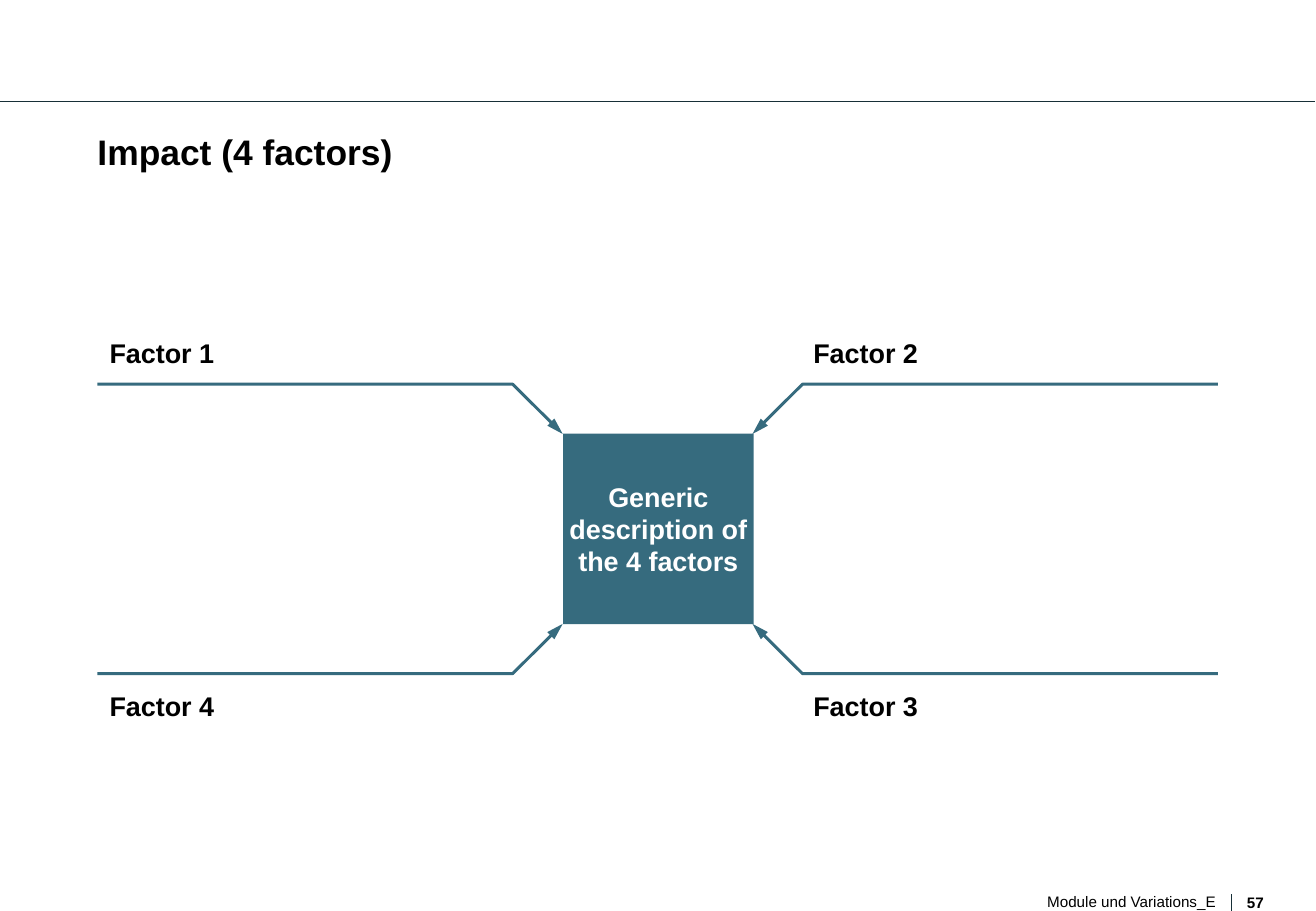
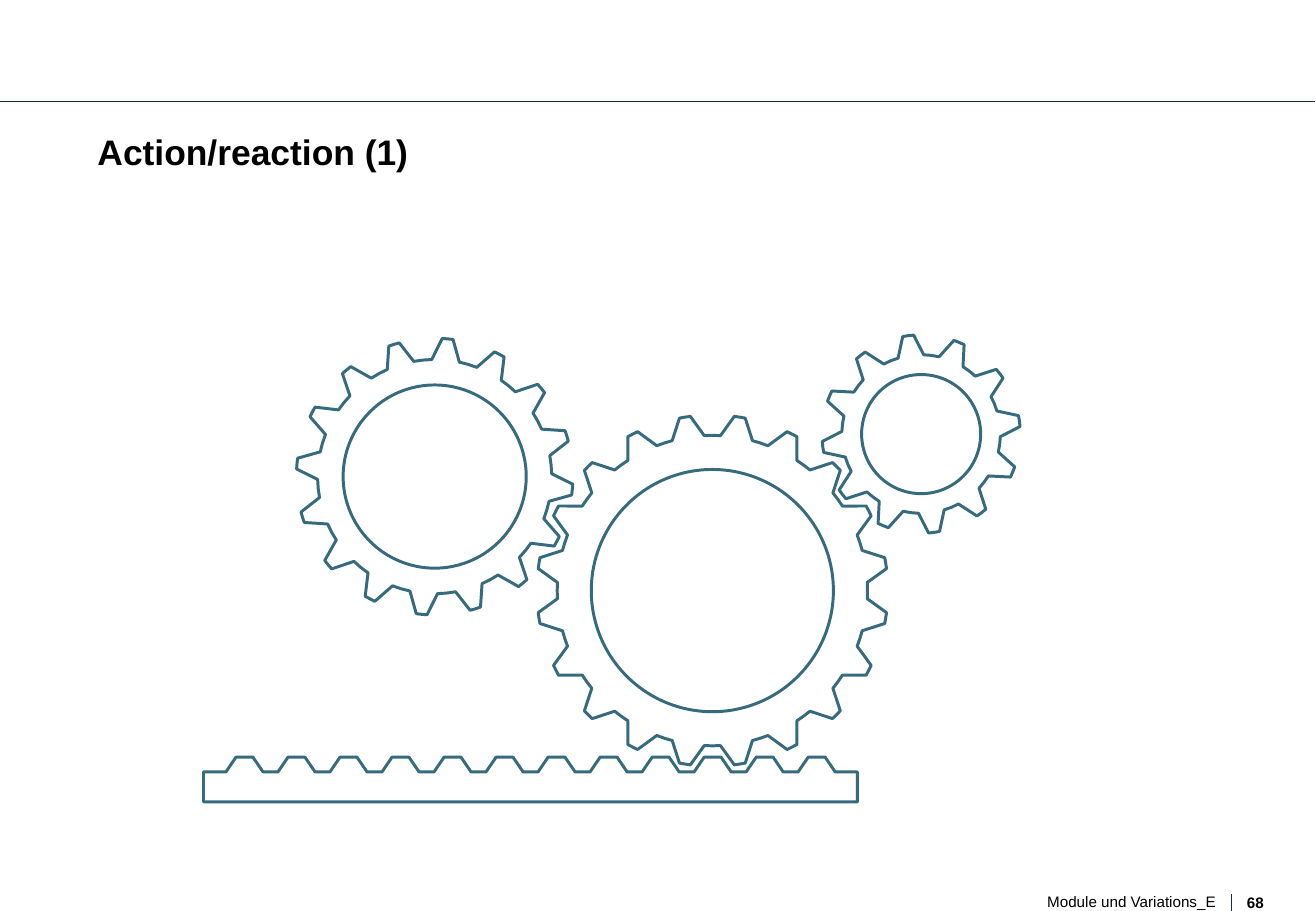
from dataclasses import dataclass
from math import cos, radians, sin

from lxml import etree
from pptx import Presentation
from pptx.dml.color import RGBColor
from pptx.enum.shapes import MSO_CONNECTOR, MSO_SHAPE
from pptx.enum.text import MSO_ANCHOR, MSO_AUTO_SIZE, PP_ALIGN
from pptx.oxml.ns import qn
from pptx.shapes.autoshape import Shape
from pptx.slide import Slide
from pptx.text.text import TextFrame
from pptx.util import Pt

LINE = MSO_CONNECTOR.STRAIGHT
RECT, OVAL = MSO_SHAPE.RECTANGLE, MSO_SHAPE.OVAL
TOP, MIDDLE = MSO_ANCHOR.TOP, MSO_ANCHOR.MIDDLE
LEFT, CENTER, RIGHT = PP_ALIGN.LEFT, PP_ALIGN.CENTER, PP_ALIGN.RIGHT
FIXED = MSO_AUTO_SIZE.NONE

FONT = "Arial"
BLACK, WHITE, DARK, TEAL = "000000", "FFFFFF", "172F37", "366B7E"
WIDE, HIGH = 780.48, 540
STROKE = 1.75
TITLE_ONLY = 5

Point = tuple[float, float]
Box = tuple[float, float, float, float]


@dataclass
class Factor:
    text: str
    side: int  # -1 left, 1 right
    row: int  # -1 above, 1 below


@dataclass
class Gear:
    """A toothed wheel; angles are in degrees, clockwise from the top."""
    x: float
    y: float
    teeth: int
    first: float
    tip: float
    root: float
    crest: float  # half the angle of a tooth at its tip
    foot: float  # half the angle of a tooth at its root
    hole: float

    def points(self) -> list[Point]:
        step = 360 / self.teeth
        turns = (
            (-self.foot, self.root), (-self.crest, self.tip), (0, self.tip),
            (self.crest, self.tip), (self.foot, self.root), (step / 2, self.root),
        )
        result = []
        for tooth in range(self.teeth):
            for turn, reach in turns:
                angle = radians(self.first + tooth * step + turn)
                result.append((self.x + reach * sin(angle), self.y - reach * cos(angle)))
        return result


FACTORS = (
    Factor("Factor 1", -1, -1),
    Factor("Factor 2", 1, -1),
    Factor("Factor 3", 1, 1),
    Factor("Factor 4", -1, 1),
)
GEARS = (
    Gear(422.5, 350.1, 20, 9, 104.1, 92, 1.8, 6, 71.8),
    Gear(546.3, 257.3, 12, 22.5, 58.8, 47, 3.2, 9.4, 35.3),
    Gear(257.8, 282.5, 16, 5.4, 82, 69.4, 2.25, 6.8, 54.3),
)


def color(value: str) -> RGBColor:
    return RGBColor.from_string(value)


def write(frame: TextFrame, text: str, *, size: float, tint: str = BLACK,
          bold: bool = False, align: PP_ALIGN = LEFT, anchor: MSO_ANCHOR = TOP,
          space: float | Pt | None = None) -> None:
    frame.margin_left = frame.margin_right = 0
    frame.margin_top = frame.margin_bottom = 0
    frame.auto_size = FIXED
    frame.word_wrap = True
    frame.vertical_anchor = anchor
    frame.text = text
    line = frame.paragraphs[0]
    line.alignment = align
    line.line_spacing = space
    font = line.runs[0].font
    font.name, font.size, font.bold = FONT, Pt(size), bold
    font.color.rgb = color(tint)


def label(slide: Slide, box: Box, text: str, **style) -> None:
    shape = slide.shapes.add_textbox(*map(Pt, box))
    write(shape.text_frame, text, **style)


def rule(slide: Slide, start: Point, end: Point) -> None:
    line = slide.shapes.add_connector(LINE, *map(Pt, start + end))
    line.line.width = Pt(0.75)
    line.line.color.rgb = color(DARK)
    etree.SubElement(line._element.spPr, qn("a:effectLst"))


def outline(shape: Shape) -> None:
    shape.shadow.inherit = False
    shape.fill.background()
    shape.line.width = Pt(STROKE)
    shape.line.color.rgb = color(TEAL)
    etree.SubElement(shape.get_or_add_ln(), qn("a:round"))


def trace(slide: Slide, points: list[Point], close: bool = True) -> Shape:
    spots = [(Pt(x), Pt(y)) for x, y in points]
    path = slide.shapes.build_freeform(*spots[0], scale=1.0)
    path.add_line_segments(spots[1:], close=close)
    shape = path.convert_to_shape()
    outline(shape)
    return shape


def start(deck: Presentation, title: str, page: int) -> Slide:
    """Add a slide with the shared rules, title and footer."""
    slide = deck.slides.add_slide(deck.slide_layouts[TITLE_ONLY])
    head = slide.shapes.title
    head.left, head.top, head.width, head.height = map(Pt, (57.8, 79.2, 674, 52))
    write(head.text_frame, title, size=21, bold=True, space=0.93)
    rule(slide, (0, 60.1), (780, 60.1))
    rule(slide, (730.3, 530), (730.3, HIGH))
    label(slide, (739.5, 529.5, 12, 10), str(page), size=9, bold=True)
    label(slide, (448, 528.8, 273, 11), "Module und Variations_E",
          size=9, align=RIGHT, space=Pt(11))
    return slide


def impact(deck: Presentation) -> None:
    slide = start(deck, "Impact (4 factors)", 57)
    mid_x, mid_y, edge = 390, 313.5, 113
    square = slide.shapes.add_shape(
        RECT, *map(Pt, (mid_x + 0.5 - edge / 2, mid_y - edge / 2, edge, edge)))
    square.shadow.inherit = False
    square.fill.solid()
    square.fill.fore_color.rgb = color(TEAL)
    square.line.fill.background()
    write(square.text_frame, "Generic description of the 4 factors", size=16,
          tint=WHITE, bold=True, align=CENTER, anchor=MIDDLE)
    reach = ((56.3, 56.3), (86, 85.8), (332.3, 85.8))
    for factor in FACTORS:
        arrow = trace(slide, [(mid_x + factor.side * x, mid_y + factor.row * y)
                              for x, y in reach], close=False)
        etree.SubElement(arrow.get_or_add_ln(), qn("a:headEnd"),
                         type="triangle", w="med", len="lg")
        left = 65 if factor.side < 0 else 482.4
        label(slide, (left, mid_y + 104.4 * factor.row - 9.5, 235, 19.4),
              factor.text, size=16, bold=True, anchor=MIDDLE)


def rack() -> list[Point]:
    left, right, crest, root, base = 120.7, 508.5, 448.8, 457.6, 475.4
    points = [(left, root)]
    for tooth in range(12):
        x = 145 + 30.85 * tooth
        points += [(x - 11, root), (x - 5, crest), (x + 5, crest), (x + 11, root)]
    return points + [(right, root), (right, base), (left, base)]


def action(deck: Presentation) -> None:
    slide = start(deck, "Action/reaction (1)", 68)
    for gear in GEARS:
        trace(slide, gear.points())
        box = (gear.x - gear.hole, gear.y - gear.hole, 2 * gear.hole, 2 * gear.hole)
        outline(slide.shapes.add_shape(OVAL, *map(Pt, box)))
    trace(slide, rack())


def main() -> None:
    deck = Presentation()
    deck.slide_width = Pt(WIDE)
    deck.slide_height = Pt(HIGH)
    impact(deck)
    action(deck)
    deck.save("out.pptx")


if __name__ == "__main__":
    main()
